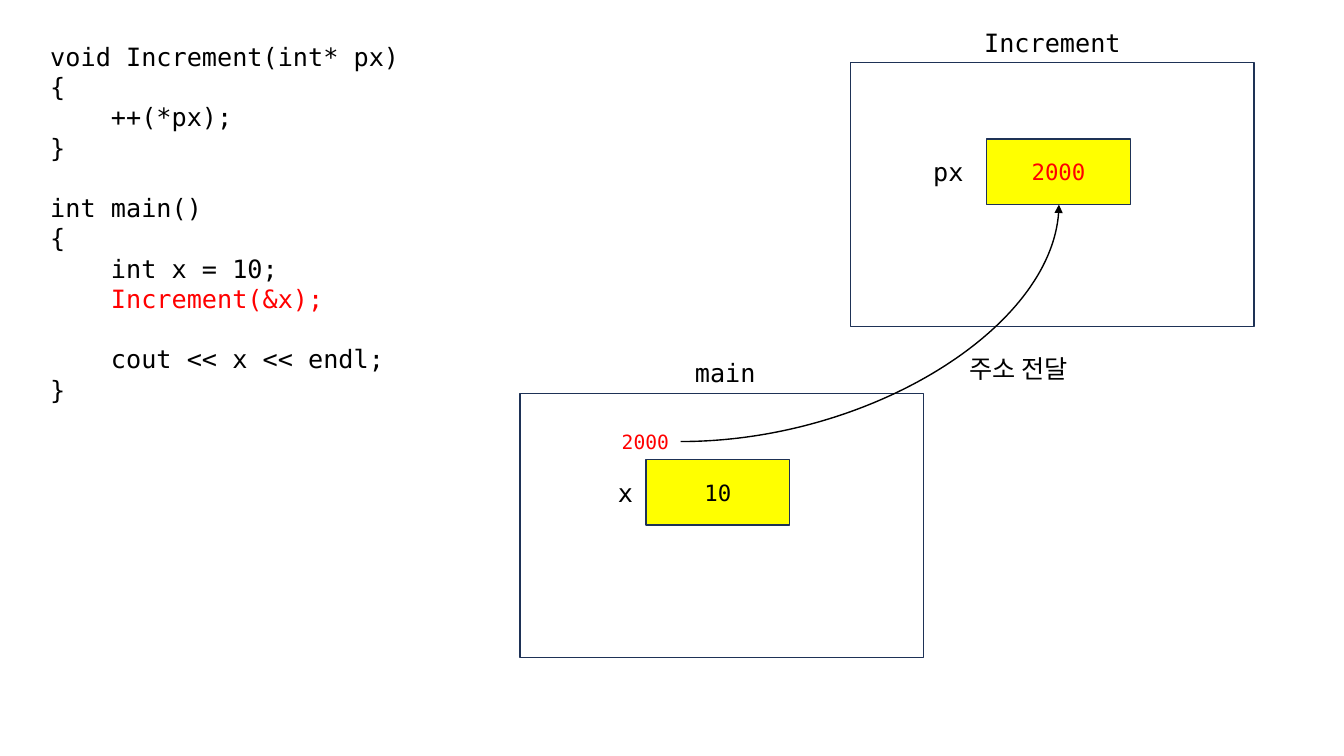
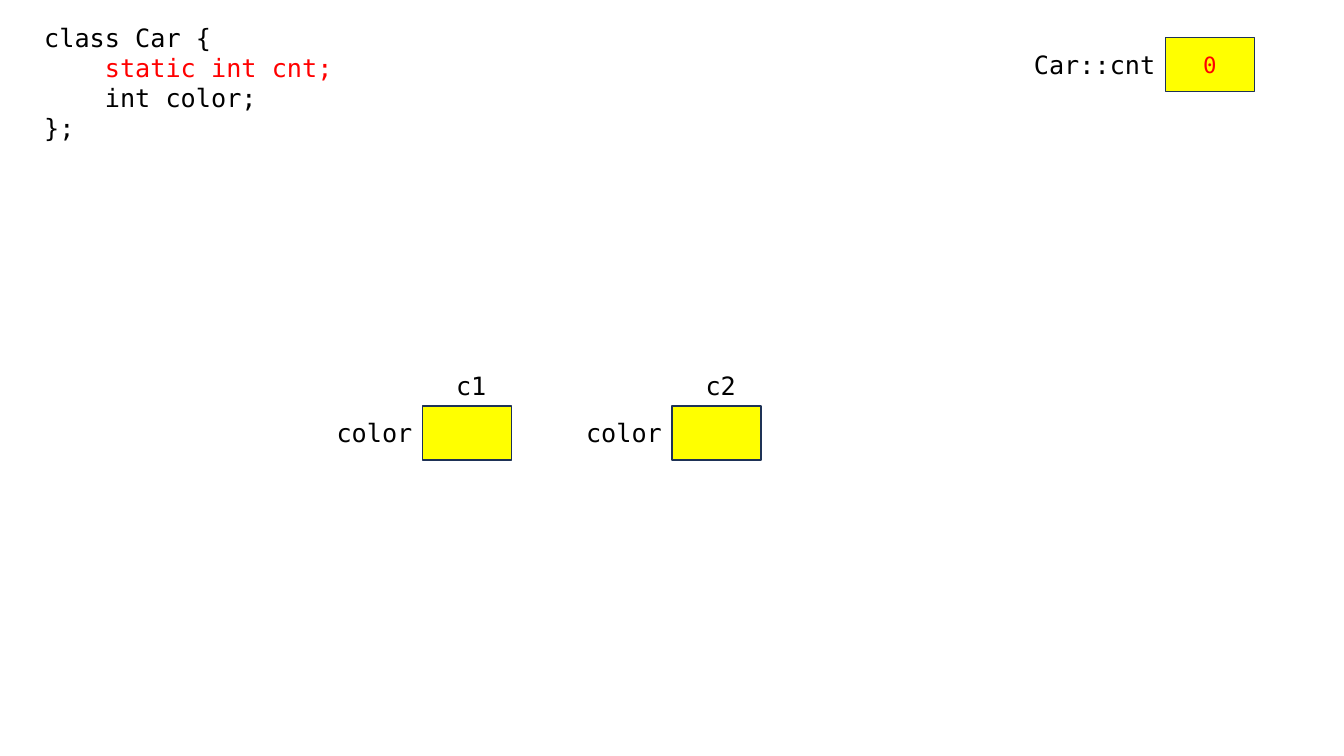
"""Build two slides that show how C++ variables and a static member sit in memory."""
from dataclasses import dataclass

from lxml.etree import SubElement
from pptx import Presentation
from pptx.dml.color import RGBColor
from pptx.enum.shapes import MSO_CONNECTOR, MSO_SHAPE
from pptx.enum.text import MSO_ANCHOR, MSO_AUTO_SIZE, PP_ALIGN
from pptx.oxml.ns import qn
from pptx.util import Pt


@dataclass(frozen=True)
class Theme:
    """Colours, font and type sizes of both slides."""
    black: str = "000000"
    red: str = "FF0000"
    white: str = "FFFFFF"
    yellow: str = "FFFF00"
    outline: str = "1E3256"
    font: str = "DejaVu Sans Mono"
    text_size: float = 18
    value_size: float = 16
    address_size: float = 14
    code_line: float = 21.6
    line_width: float = 1
    label_height: float = 29


THEME = Theme()
LEFT, CENTER, RIGHT = PP_ALIGN.LEFT, PP_ALIGN.CENTER, PP_ALIGN.RIGHT

SLIDES = [
    {
        "code": {
            "box": (28.8, 25.9, 480, 269.3),
            "groups": [
                ["void Increment(int* px)", "{", "    ++(*px);", "}"],
                ["int main()", "{", "    int x = 10;", "    Increment(&x);"],
                ["    cout << x << endl;", "}"],
            ],
            "highlight": "    Increment(&x);",
        },
        "frames": [
            {"box": (371.5, 281, 288, 188.6), "title": "main", "title_width": 93, "title_shift": 2.5},
            {"box": (607.7, 44.7, 288, 188.6), "title": "Increment", "title_width": 112, "title_shift": 0},
        ],
        "cells": [
            {"box": (461.6, 328.3, 102.5, 46.8), "value": "10", "color": THEME.black,
             "name": "x", "name_width": 27.4, "align": LEFT},
            {"box": (704.9, 99.2, 102.5, 46.8), "value": "2000", "color": THEME.red,
             "name": "px", "name_width": 45.4, "align": LEFT},
        ],
        "notes": [
            {"box": (437, 303.8, 68.4, 24.5), "text": "2000", "align": LEFT,
             "size": THEME.address_size, "color": THEME.red},
            {"box": (681.1, 249.1, 92.9, 51.1), "text": "주소 전달", "align": CENTER,
             "size": THEME.text_size, "color": THEME.black},
        ],
        "arrows": [((486.2, 315.4), (756.4, 146.2))],
    },
    {
        "code": {
            "box": (24.5, 12.2, 480, 94.3),
            "groups": [["class Car {", "    static int cnt;", "    int color;", "};"]],
            "highlight": "    static int cnt;",
        },
        "cells": [
            {"box": (left, 290, 63.7, 38.5), "name": "color", "name_width": 105,
             "align": RIGHT, "heading": heading, "heading_width": 69.8}
            for left, heading in ((301.7, "c1"), (479.9, "c2"))
        ] + [
            {"box": (832.3, 26.9, 63.7, 38.5), "value": "0", "color": THEME.red,
             "name": "Car::cnt", "name_width": 139.7, "align": RIGHT},
        ],
    },
]


def set_attributes(target, values):
    """Set every attribute named in a dict."""
    for name, value in values.items():
        setattr(target, name, value)


def write(paragraph, text, size, color, align):
    """Put one formatted run in a paragraph."""
    paragraph.alignment = align
    run = paragraph.add_run()
    run.text = text
    set_attributes(run.font, {"name": THEME.font, "size": Pt(size)})
    run.font.color.rgb = RGBColor.from_string(color)


def add_text_frame(slide, box):
    """Add a wrapping text box and return its text frame."""
    text_frame = slide.shapes.add_textbox(*map(Pt, box)).text_frame
    set_attributes(text_frame, {"word_wrap": True, "auto_size": MSO_AUTO_SIZE.SHAPE_TO_FIT_TEXT})
    return text_frame


def add_label(slide, box, text, align, size=THEME.text_size, color=THEME.black):
    """Add a one-line label."""
    write(add_text_frame(slide, box).paragraphs[0], text, size, color, align)


def add_rectangle(slide, box, fill):
    """Add an outlined rectangle."""
    shape = slide.shapes.add_shape(MSO_SHAPE.RECTANGLE, *map(Pt, box))
    shape.shadow.inherit = False
    shape.fill.solid()
    shape.fill.fore_color.rgb = RGBColor.from_string(fill)
    shape.line.color.rgb = RGBColor.from_string(THEME.outline)
    shape.line.width = Pt(THEME.line_width)
    return shape


def add_code(slide, box, groups, highlight):
    """Add a code listing with a one-line gap between groups."""
    text_frame = add_text_frame(slide, box)
    paragraph = text_frame.paragraphs[0]
    for group_index, group in enumerate(groups):
        for line_index, line in enumerate(group):
            if group_index or line_index:
                paragraph = text_frame.add_paragraph()
            if group_index and not line_index:
                paragraph.space_before = Pt(THEME.code_line)
            color = THEME.red if line == highlight else THEME.black
            write(paragraph, line, THEME.text_size, color, LEFT)


def add_frame(slide, box, title, title_width, title_shift):
    """Add a function's stack frame with its title above."""
    left, top, width, _ = box
    add_rectangle(slide, box, THEME.white)
    title_left = left + (width - title_width) / 2 + title_shift
    title_box = (title_left, top - THEME.label_height, title_width, THEME.label_height)
    add_label(slide, title_box, title, CENTER)


def add_cell(slide, box, name, name_width, align, value="", color=THEME.black,
             heading="", heading_width=0):
    """Add a memory cell with its name on the left and an optional heading above."""
    left, top, _, height = box
    text_frame = add_rectangle(slide, box, THEME.yellow).text_frame
    text_frame.vertical_anchor = MSO_ANCHOR.MIDDLE
    if value:
        write(text_frame.paragraphs[0], value, THEME.value_size, color, CENTER)
    name_top = top + (height - THEME.label_height) / 2
    add_label(slide, (left - name_width, name_top, name_width, THEME.label_height), name, align)
    if heading:
        heading_box = (left, top - THEME.label_height, heading_width, THEME.label_height)
        add_label(slide, heading_box, heading, CENTER)


def add_curved_arrow(slide, start, end):
    """Add a quarter-curve arrow that leaves sideways and arrives upright."""
    connector = slide.shapes.add_connector(MSO_CONNECTOR.CURVE, *map(Pt, start + end))
    connector.line.color.rgb = RGBColor.from_string(THEME.black)
    connector.line.width = Pt(THEME.line_width)
    properties = connector._element.spPr
    properties.find(qn("a:prstGeom")).set("prst", "curvedConnector2")
    SubElement(properties.find(qn("a:ln")), qn("a:tailEnd"), type="triangle")
    SubElement(properties, qn("a:effectLst"))


def main():
    """Build and save the presentation."""
    presentation = Presentation()
    set_attributes(presentation, {"slide_width": Pt(960), "slide_height": Pt(540)})
    for content in SLIDES:
        slide = presentation.slides.add_slide(presentation.slide_layouts[6])
        add_code(slide, **content["code"])
        for frame in content.get("frames", []):
            add_frame(slide, **frame)
        for cell in content["cells"]:
            add_cell(slide, **cell)
        for note in content.get("notes", []):
            add_label(slide, **note)
        for start, end in content.get("arrows", []):
            add_curved_arrow(slide, start, end)
    presentation.save("out.pptx")


if __name__ == "__main__":
    main()
